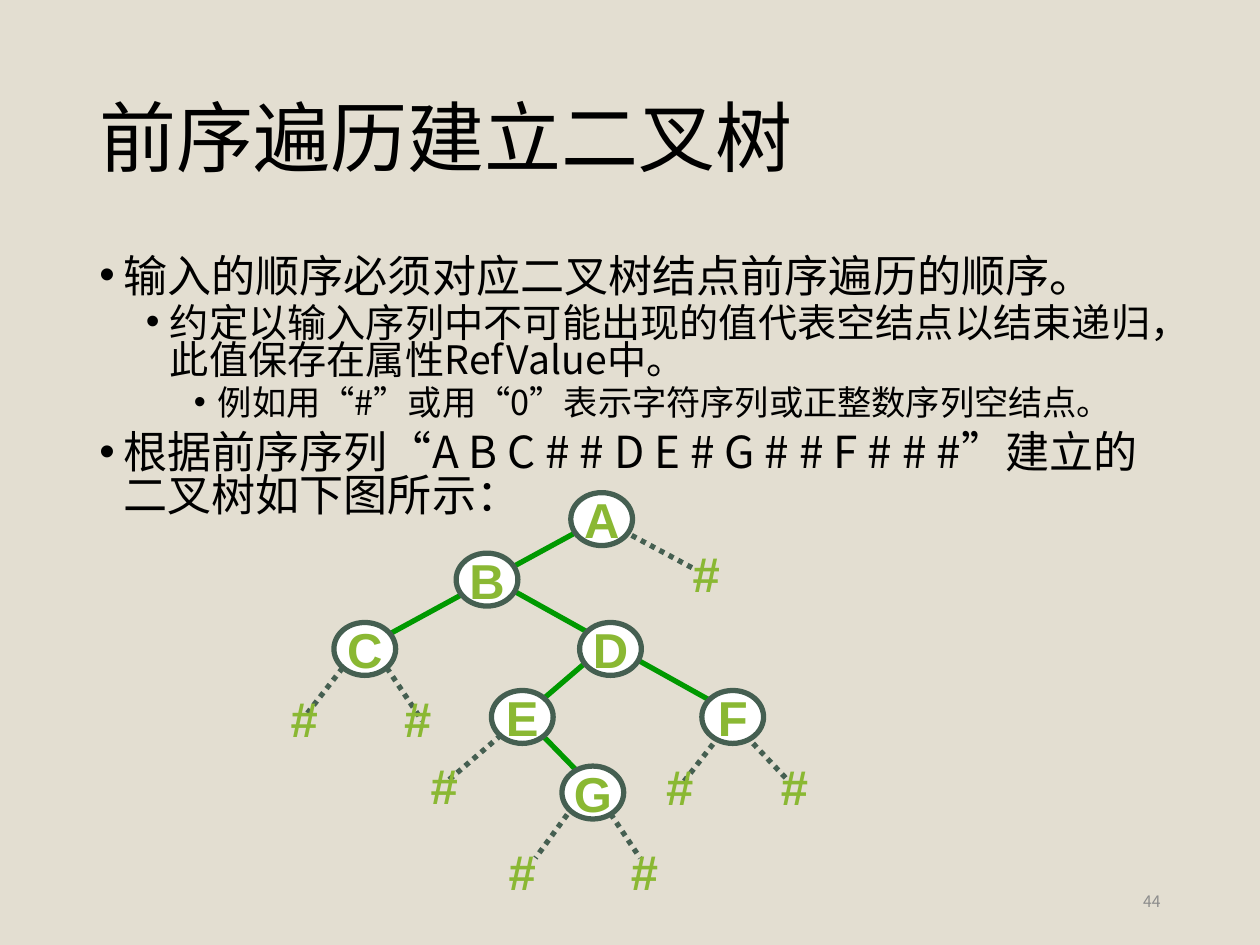
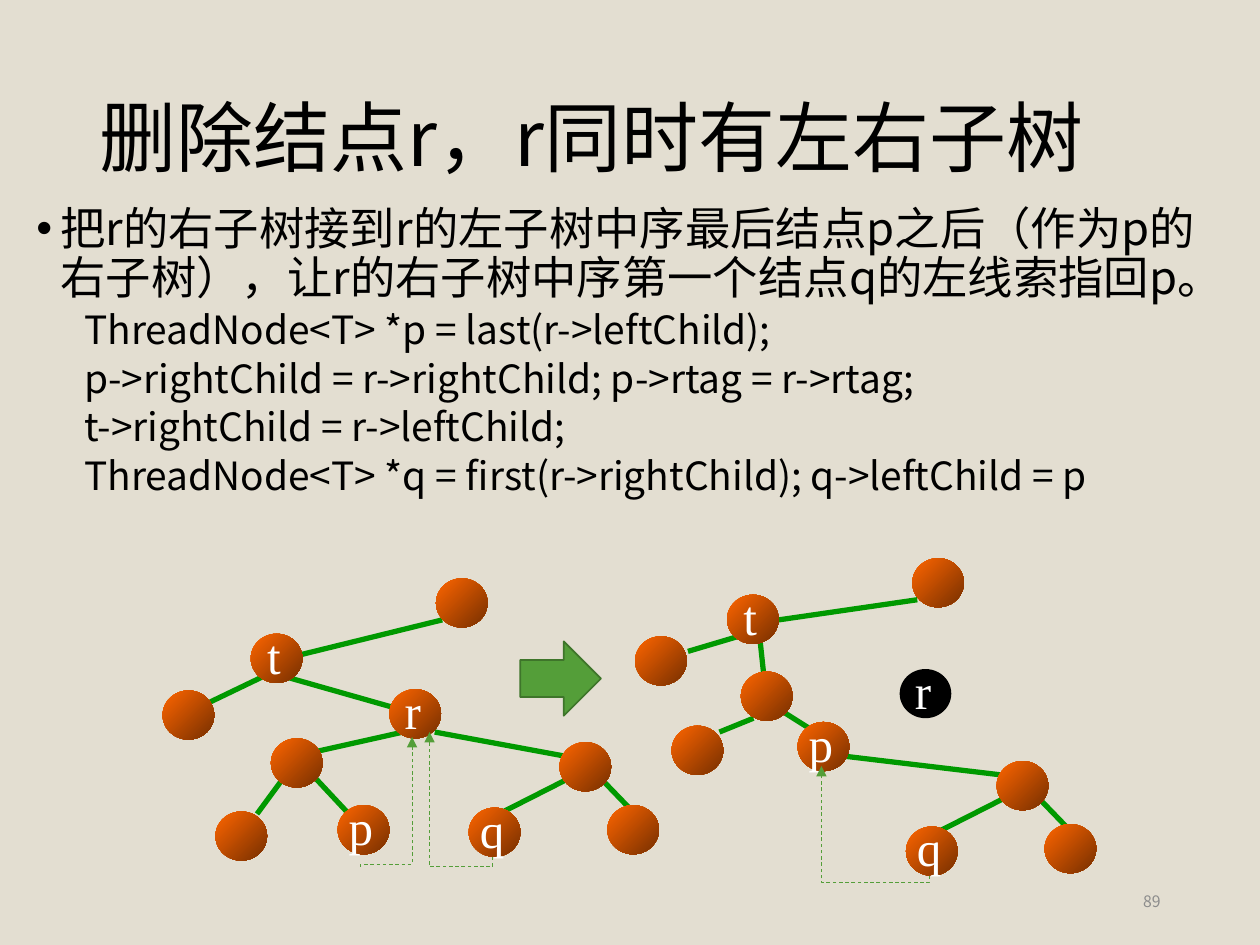
from dataclasses import dataclass
from lxml.etree import SubElement
from pptx import Presentation
from pptx.dml.color import RGBColor
from pptx.enum.dml import MSO_LINE
from pptx.enum.shapes import MSO_CONNECTOR, MSO_SHAPE
from pptx.enum.text import MSO_ANCHOR, MSO_AUTO_SIZE, PP_ALIGN
from pptx.oxml.ns import qn
from pptx.util import Inches, Pt

COLUMNS, ROWS = 100, 75
CELL = Inches(10) / COLUMNS

SANS, ARIAL, TIMES = "Noto Sans CJK SC", "Arial", "Times New Roman"
PAPER, INK, WHITE, GREY = "E3DED1", "000000", "FFFFFF", "8C8C8C"
EDGE, SLATE, LIME = "009900", "455F51", "8AB833"
LEAF, LEAF_DARK = "549E39", "3E752A"
ORANGE, BROWN = "FF6600", "762F00"


@dataclass
class Box:
    left: float
    top: float
    width: float
    height: float

    def point(self, column, row):
        return self.left + column, self.top + row

    def around(self, center, width, height):
        x, y = self.point(*center)
        return Box(x - width / 2, y - height / 2, width, height)

    def lengths(self):
        return [cells(v) for v in (self.left, self.top, self.width, self.height)]


TITLE = Box(6.9, 4, 86.2, 14.5)
NUMBER = Box(70.6, 69.5, 22.5, 4)


def cells(count):
    return round(count * CELL)


def color(text):
    return RGBColor.from_string(text)


def add_page(deck, title, number):
    page = deck.slides.add_slide(deck.slide_layouts[6])
    page.background.fill.solid()
    page.background.fill.fore_color.rgb = color(PAPER)
    frame = add_frame(page, TITLE, MSO_ANCHOR.MIDDLE)
    frame.paragraphs[0].line_spacing = 0.9
    add_span(frame.paragraphs[0], title, 44)
    frame = add_frame(page, NUMBER, MSO_ANCHOR.MIDDLE)
    frame.paragraphs[0].alignment = PP_ALIGN.RIGHT
    add_span(frame.paragraphs[0], number, 9, ink=GREY)
    return page


def add_frame(page, box, anchor=MSO_ANCHOR.TOP):
    frame = page.shapes.add_textbox(*box.lengths()).text_frame
    frame.word_wrap = True
    frame.vertical_anchor = anchor
    return frame


def add_span(para, text, size, font=SANS, ink=INK, bold=False):
    span = para.add_run()
    span.text = text
    span.font.size = Pt(size)
    span.font.name = font
    span.font.bold = bold
    span.font.color.rgb = color(ink)
    SubElement(span.font._element, qn("a:ea"), typeface=font)


def add_body(page, box, spacing, lines):
    frame = add_frame(page, box)
    for index, (text, size, margin, bullet) in enumerate(lines):
        para = frame.paragraphs[0] if index == 0 else frame.add_paragraph()
        para.line_spacing = spacing
        if index:
            para.space_before = Pt(7.5 if margin < 0.3 else 3.8)
        properties = para._p.get_or_add_pPr()
        properties.set("marL", str(Inches(margin)))
        properties.set("indent", str(Inches(-0.19 if bullet else 0)))
        if bullet:
            SubElement(properties, qn("a:buFont"), typeface=ARIAL)
            SubElement(properties, qn("a:buChar"), char="•")
        add_span(para, text, size)


def add_label(page, box, text, font, ink, bold=False):
    frame = add_frame(page, box, MSO_ANCHOR.MIDDLE)
    frame.margin_left = frame.margin_right = 0
    frame.margin_top = frame.margin_bottom = 0
    frame.word_wrap = False
    frame.auto_size = MSO_AUTO_SIZE.SHAPE_TO_FIT_TEXT
    frame.paragraphs[0].alignment = PP_ALIGN.CENTER
    add_span(frame.paragraphs[0], text, 28, font, ink, bold)


def add_shape(page, kind, box, fill, outline=None, weight=1):
    shape = page.shapes.add_shape(kind, *box.lengths())
    shape.shadow.inherit = False
    if isinstance(fill, tuple):
        shape.fill.gradient()
        shape.fill.gradient_angle = 315
        for stop, ink, position in zip(shape.fill.gradient_stops, fill, (0, 1)):
            stop.color.rgb = color(ink)
            stop.position = position
    else:
        shape.fill.solid()
        shape.fill.fore_color.rgb = color(fill)
    if outline:
        shape.line.color.rgb = color(outline)
        shape.line.width = Pt(weight)
    else:
        shape.line.fill.background()


def add_line(page, kind, begin, end, ink, weight, dash=None):
    line = page.shapes.add_connector(kind, *[cells(v) for v in (*begin, *end)])
    line.line.color.rgb = color(ink)
    line.line.width = Pt(weight)
    if dash:
        line.line.dash_style = dash
    SubElement(line._element.spPr, qn("a:effectLst"))
    return line


def add_edges(page, box, edges, ink=EDGE, dash=None):
    for x1, y1, x2, y2 in edges:
        add_line(page, MSO_CONNECTOR.STRAIGHT, box.point(x1, y1),
                 box.point(x2, y2), ink, 3, dash)


def add_thread(page, box, begin, end, bend):
    x1, y1 = box.point(*begin)
    x2, y2 = box.point(*end)
    middle_x, middle_y = (x1 + x2) / 2, (y1 + y2) / 2
    half_x, half_y = (y2 - y1) / 2, (x1 - x2) / 2
    line = add_line(page, MSO_CONNECTOR.ELBOW,
                    (middle_x - half_x, middle_y - half_y),
                    (middle_x + half_x, middle_y + half_y),
                    LEAF, 0.5, MSO_LINE.DASH)
    properties = line._element.spPr
    properties.find(qn("a:xfrm")).set("rot", "5400000")
    guides = properties.find(qn("a:prstGeom")).find(qn("a:avLst"))
    SubElement(guides, qn("a:gd"), name="adj1", fmla=f"val {round(bend * 100000)}")
    SubElement(line.line._get_or_add_ln(), qn("a:tailEnd"), type="triangle")


def add_letter_tree(page, box):
    nodes = {"A": (27.75, 2.2), "B": (18.65, 7), "C": (8.95, 12.5),
             "D": (28.45, 12.5), "E": (21.45, 17.9), "F": (38.15, 17.9),
             "G": (27.05, 23.9)}
    empties = [(4.15, 18), (13.15, 18), (15.25, 23.3), (21.45, 30.1),
               (31.15, 30.1), (33.95, 23.4), (43.05, 23.4), (36.05, 6.5)]
    empty_edges = [(20.4, 18.8, 15.5, 23), (26, 24.3, 22.5, 29.1),
                   (28, 24.9, 30.8, 29.1), (7.2, 14, 4.4, 17.6),
                   (10.7, 14, 13.5, 18.2), (39.2, 19.4, 42.6, 23),
                   (29.4, 3.1, 35, 6.1), (37.1, 19.4, 34.3, 23)]
    node_edges = [(22.5, 18.8, 26, 22.4), (26.7, 13.4, 21.8, 17.6),
                  (19.7, 7.3, 37.1, 17), (26, 3.1, 9.3, 12.2)]
    add_edges(page, box, empty_edges, SLATE, MSO_LINE.ROUND_DOT)
    add_edges(page, box, node_edges)
    for center in nodes.values():
        add_shape(page, MSO_SHAPE.OVAL, box.around(center, 4.9, 4.2), WHITE, SLATE, 3)
    for text, center in [*nodes.items(), *(("#", center) for center in empties)]:
        add_label(page, box.around(center, 4.9, 4.2), text, ARIAL, LIME, True)


def add_node(page, box, center, text="", fill=(ORANGE, BROWN)):
    add_shape(page, MSO_SHAPE.OVAL, box.around(center, 4.1, 3.9), fill)
    if text:
        width = {"t": 2.6, "r": 2.8}.get(text, 3.3)
        column, row = center
        add_label(page, box.around((column - 0.2, row - 0.3), width, 4.5),
                  text, TIMES, WHITE)


def add_thread_tree(page, box, edges, nodes, subtree, threads):
    branch = Box(*box.point(*subtree), 0, 0)
    add_edges(page, box, edges)
    add_edges(page, branch, [(-0.75, 0.65, -7.45, 4.05), (1.15, 0.85, 3.95, 3.75)])
    for node in nodes:
        add_node(page, box, *node)
    for node in [((0, 0),), ((-7.2, 5.2), "q"), ((3.8, 5),)]:
        add_node(page, branch, *node)
    for begin, end, bend in threads:
        add_thread(page, box, begin, end, bend)


def build_preorder_page(deck):
    page = add_page(deck, "前序遍历建立二叉树", "44")
    add_body(page, Box(6.9, 20, 86.2, 30.9), 0.8, [
        ("输入的顺序必须对应二叉树结点前序遍历的顺序。", 25.2, 0.19, True),
        ("约定以输入序列中不可能出现的值代表空结点以结束递归，此值保存在属性RefValue中。",
         22.4, 0.56, True),
        ("例如用“#”或用“0”表示字符序列或正整数序列空结点。", 19.6, 0.94, True),
        ("根据前序序列“A B C # # D E # G # # F # # #”建立的二叉树如下图所示：",
         25.2, 0.19, True),
    ])
    add_letter_tree(page, Box(20, 39, 46, 33))


def build_delete_page(deck):
    page = add_page(deck, "删除结点r，r同时有左右子树", "89")
    code = ["ThreadNode<T> *p = last(r->leftChild);",
            "p->rightChild = r->rightChild; p->rtag = r->rtag;",
            "t->rightChild = r->leftChild;",
            "ThreadNode<T> *q = first(r->rightChild); q->leftChild = p"]
    add_body(page, Box(1.9, 15.9, 96.2, 26.4), 0.9, [
        ("把r的右子树接到r的左子树中序最后结点p之后（作为p的右子树），"
         "让r的右子树中序第一个结点q的左线索指回p。", 25.9, 0.19, True),
        *((line, 22.2, 0.38, False) for line in code),
    ])
    add_thread_tree(
        page, Box(12, 45, 41, 25),
        edges=[(9.5, 8.4, 4.5, 10.8), (23.1, 4.2, 10.9, 7.2),
               (10.6, 8.7, 20.1, 11.4), (10.9, 16.2, 8.4, 19.6),
               (20, 13.1, 11.5, 15), (12.7, 16.4, 15.5, 19.4),
               (22.5, 13.1, 34.4, 15.3)],
        nodes=[((24.65, 2.85),), ((9.95, 7.25), "t"), ((2.95, 11.75),),
               ((20.95, 11.65), "r"), ((11.55, 15.55),),
               ((16.85, 20.85), "p"), ((7.15, 21.35),)],
        subtree=(34.45, 15.85),
        threads=[((16.6, 23.8), (20.7, 13.5), 0.02),
                 ((27.1, 23), (22.1, 13.1), -0.08)])
    add_thread_tree(
        page, Box(50, 44, 38, 27),
        edges=[(9.3, 6.3, 4.6, 7.7), (22.8, 3.6, 11.8, 5.2),
               (10.3, 6.6, 10.6, 9.4), (9.8, 13, 7.1, 14.1),
               (12, 12.4, 14.7, 14.1), (16.9, 16, 31.1, 17.7)],
        nodes=[((24.45, 2.25),), ((9.75, 5.15), "t"), ((2.45, 8.45),),
               ((10.85, 11.25),), ((15.35, 15.25), "p"), ((5.35, 15.55),),
               ((23.45, 11.05), "r", INK)],
        subtree=(31.15, 18.35),
        threads=[((23.8, 25.5), (15.2, 16.8), -0.06)])
    add_shape(page, MSO_SHAPE.RIGHT_ARROW, Box(41.3, 50.9, 6.4, 5.9), LEAF, LEAF_DARK)


def main():
    deck = Presentation()
    deck.slide_width, deck.slide_height = cells(COLUMNS), cells(ROWS)
    build_preorder_page(deck)
    build_delete_page(deck)
    deck.save("out.pptx")


if __name__ == "__main__":
    main()
